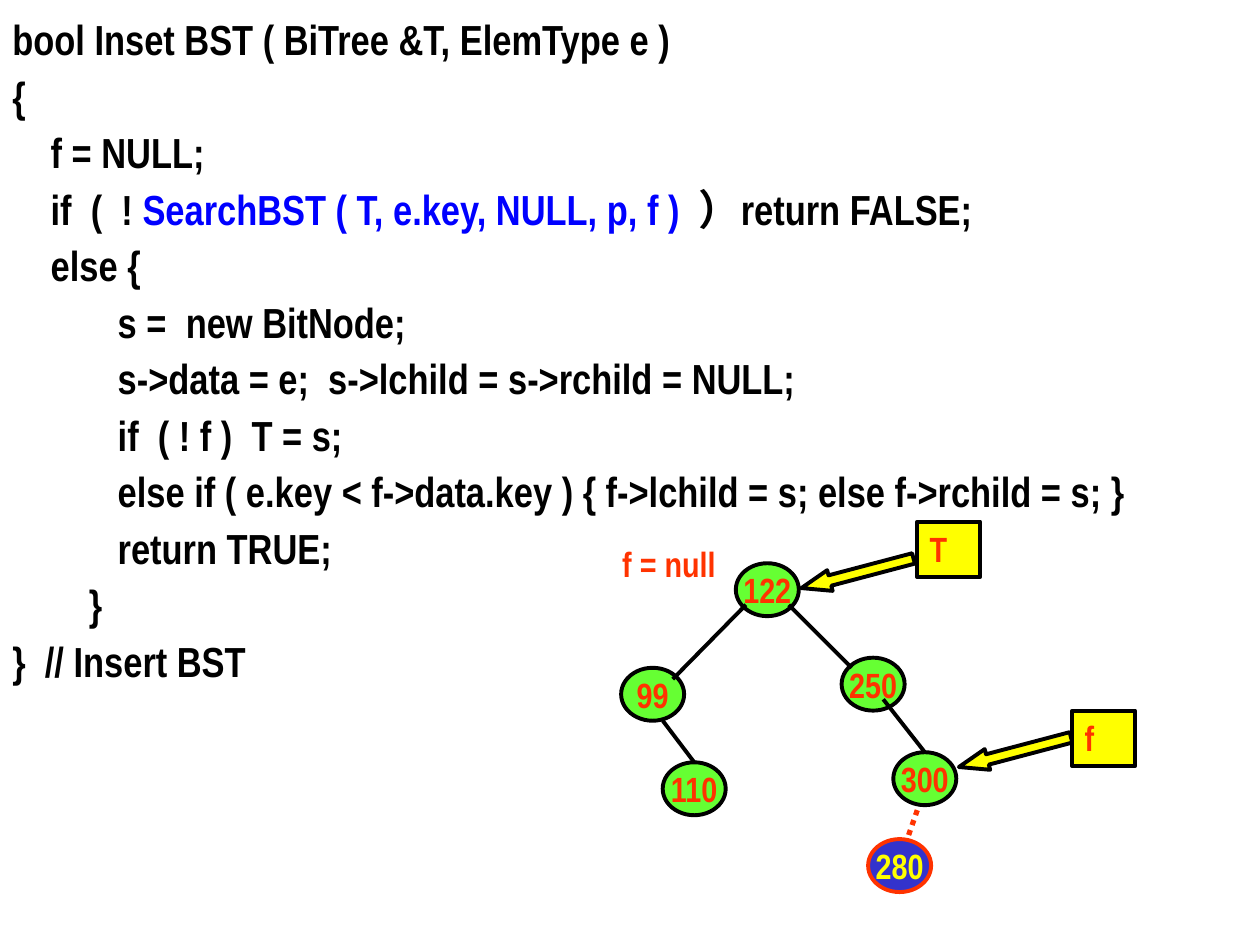
import pptx
import pptx.dml.color
import pptx.enum.dml
import pptx.enum.shapes
import pptx.enum.text
import pptx.oxml.ns
import pptx.util
from lxml import etree
from pptx.util import Inches

FONT = "Arial Narrow"
COLORS = {
    "black": "000000",
    "call": "0000FF",
    "node": "66FF33",
    "new_node": "3333CC",
    "red": "FF3300",
    "yellow": "FFFF00",
}
NODE_W, NODE_H = 0.5, 0.42
SHAPES = pptx.enum.shapes.MSO_SHAPE

CODE = [
    [("bool Inset BST ( BiTree &T, ElemType e )", "black")],
    [("{", "black")],
    [("    f = NULL;", "black")],
    [
        ("    if  (  ! ", "black"),
        ("SearchBST ( T, e.key, NULL, p, f )  ", "call"),
        ("）return FALSE;", "black"),
    ],
    [("    else {", "black")],
    [("           s =  new BitNode;", "black")],
    [("           s->data = e;  s->lchild = s->rchild = NULL;", "black")],
    [("           if  ( ! f )  T = s;", "black")],
    [("           else if ( e.key < f->data.key ) { f->lchild = s; else f->rchild = s; }", "black")],
    [("           return TRUE;", "black")],
    [("        }", "black")],
    [("}  // Insert BST", "black")],
]
TREE_NODES = [
    ("122", 5.84, 4.47),
    ("250", 6.68, 5.22),
    ("300", 7.09, 5.97),
    ("110", 5.26, 6.05),
    ("99", 4.93, 5.3),
]
TREE_EDGES = [
    (5.92, 4.8, 5.34, 5.39),
    (6.26, 4.8, 6.76, 5.3),
    (7.01, 5.55, 7.34, 5.97),
    (5.26, 5.72, 5.51, 6.05),
]
POINTER_ARROWS = [(6.72, 4.09), (7.97, 5.51)]
POINTER_BOXES = [("T", 7.28, 4.14), ("f", 8.51, 5.64)]


def rgb(name):
    return pptx.dml.color.RGBColor.from_string(COLORS[name])


def add_run(paragraph, text, color, size):
    run = paragraph.add_run()
    run.text = text
    run.font.name = FONT
    run.font.size = pptx.util.Pt(size)
    run.font.bold = True
    run.font.color.rgb = rgb(color)


def add_outlined_shape(slide, kind, box, fill, line="black"):
    shape = slide.shapes.add_shape(kind, *map(Inches, box))
    shape.shadow.inherit = False
    shape.fill.solid()
    shape.fill.fore_color.rgb = rgb(fill)
    shape.line.color.rgb = rgb(line)
    shape.line.width = pptx.util.Pt(2.25)
    return shape


def add_node(slide, key, left, top, fill="node", line="black", text="red"):
    node = add_outlined_shape(slide, SHAPES.OVAL, (left, top, NODE_W, NODE_H), fill, line)
    frame = node.text_frame
    frame.word_wrap = False
    frame.vertical_anchor = pptx.enum.text.MSO_ANCHOR.MIDDLE
    paragraph = frame.paragraphs[0]
    paragraph.alignment = pptx.enum.text.PP_ALIGN.CENTER
    add_run(paragraph, key, text, 20)


def add_edge(slide, x1, y1, x2, y2, color="black", width=2.25, dash=None):
    edge = slide.shapes.add_connector(
        pptx.enum.shapes.MSO_CONNECTOR.STRAIGHT, *map(Inches, (x1, y1, x2, y2))
    )
    edge.line.color.rgb = rgb(color)
    edge.line.width = pptx.util.Pt(width)
    if dash is not None:
        edge.line.dash_style = dash
    etree.SubElement(edge._element.spPr, pptx.oxml.ns.qn("a:effectLst"))


def add_pointer_arrow(slide, left, top):
    arrow = add_outlined_shape(slide, SHAPES.DOWN_ARROW, (left, top, 0.17, 0.92), "yellow")
    arrow.adjustments[0] = 0.5
    arrow.adjustments[1] = 1.376
    arrow.rotation = 75.2


def write_label(shape, text):
    """Put a left-aligned pointer label at the top of the shape."""
    frame = shape.text_frame
    frame.word_wrap = True
    frame.auto_size = pptx.enum.text.MSO_AUTO_SIZE.SHAPE_TO_FIT_TEXT
    frame.vertical_anchor = pptx.enum.text.MSO_ANCHOR.TOP
    paragraph = frame.paragraphs[0]
    paragraph.alignment = pptx.enum.text.PP_ALIGN.LEFT
    add_run(paragraph, text, "red", 20)


def add_code(slide):
    listing = slide.shapes.add_textbox(Inches(0), Inches(0.2), Inches(10), Inches(5.28))
    frame = listing.text_frame
    frame.word_wrap = True
    frame.auto_size = pptx.enum.text.MSO_AUTO_SIZE.SHAPE_TO_FIT_TEXT
    for number, parts in enumerate(CODE):
        paragraph = frame.add_paragraph() if number else frame.paragraphs[0]
        paragraph.line_spacing = 0.6
        if number:
            paragraph.space_before = pptx.util.Pt(15)
        for text, color in parts:
            add_run(paragraph, text, color, 24)


def main():
    deck = pptx.Presentation()
    deck.slide_width = Inches(10)
    deck.slide_height = Inches(7.5)
    slide = deck.slides.add_slide(deck.slide_layouts[6])

    add_code(slide)
    for key, left, top in TREE_NODES:
        add_node(slide, key, left, top)
    for ends in TREE_EDGES:
        add_edge(slide, *ends)
    for left, top in POINTER_ARROWS:
        add_pointer_arrow(slide, left, top)
    for name, left, top in POINTER_BOXES:
        pointer = add_outlined_shape(slide, SHAPES.RECTANGLE, (left, top, 0.5, 0.44), "yellow")
        write_label(pointer, name)

    add_node(slide, "280", 6.89, 6.66, "new_node", "red", "yellow")
    add_edge(slide, 7.28, 6.43, 7.2, 6.66, "red", 3, pptx.enum.dml.MSO_LINE.ROUND_DOT)
    start_value = slide.shapes.add_textbox(Inches(4.84), Inches(4.26), Inches(1), Inches(0.44))
    write_label(start_value, "f = null")

    deck.save("out.pptx")


if __name__ == "__main__":
    main()
